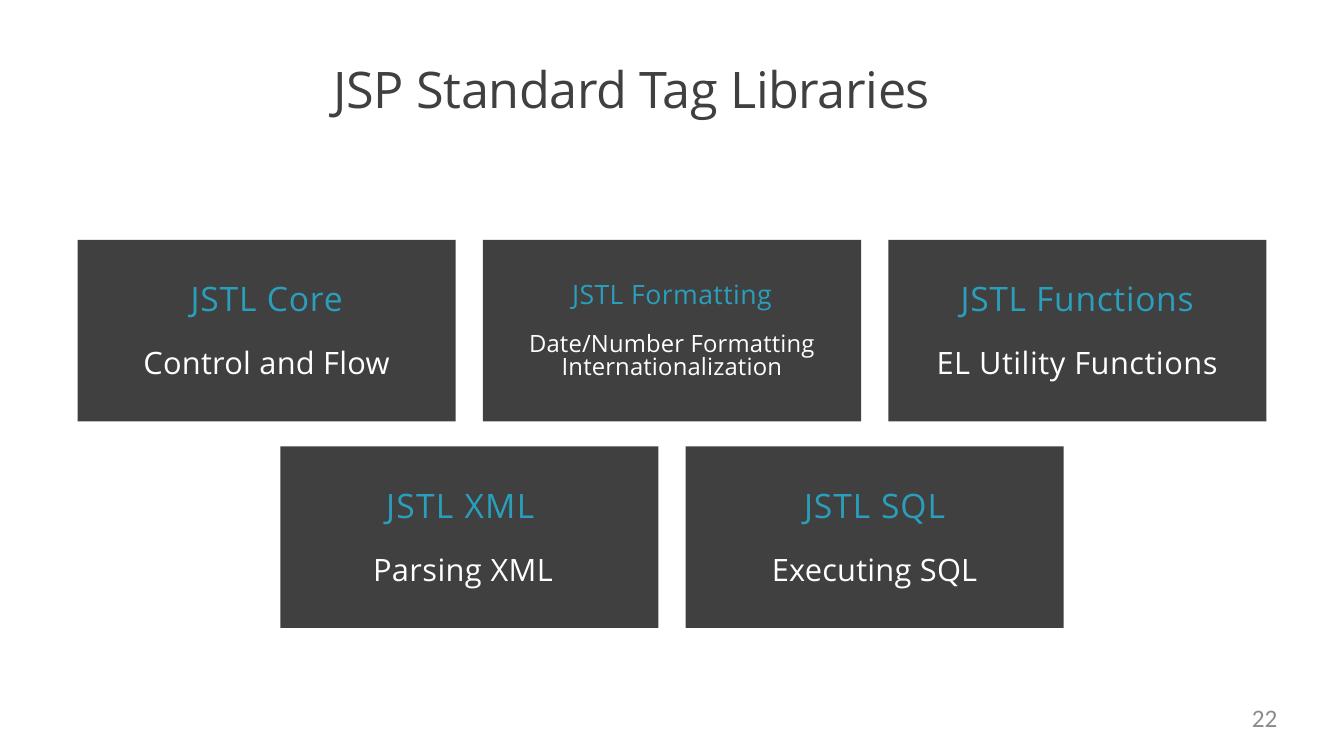
from dataclasses import dataclass

from pptx import Presentation
from pptx.dml.color import RGBColor as RGB
from pptx.enum.shapes import MSO_SHAPE as SHAPE
from pptx.enum.text import MSO_ANCHOR as ANCHOR, MSO_AUTO_SIZE as FIT, PP_ALIGN as ALIGN
from pptx.util import Inches, Pt


@dataclass(frozen=True)
class Theme:
    dark: RGB = RGB(0x40, 0x40, 0x40)
    accent: RGB = RGB(0x2A, 0x9F, 0xBC)
    white: RGB = RGB(0xFF, 0xFF, 0xFF)
    grey: RGB = RGB(0x8C, 0x8C, 0x8C)
    font: str = "Open Sans"
    number_font: str = "Calibri"
    title: int = 36
    number: int = 18
    large: tuple = (24, 22)  # card heading and body
    small: tuple = (19, 17)


class Deck:
    """Style and current slide; cards sit on half-card columns and full rows."""
    left, top = 0.77, 2.38
    column, row = 2.01, 2.05
    card_size = 3.75, 1.8

    def __init__(self, prs, theme):
        self.theme = theme
        self.slide = prs.slides.add_slide(prs.slide_layouts[5])

    def place(self, s, x, y, w, h):
        s.left, s.top, s.width, s.height = map(Inches, (x, y, w, h))

    def frame(self, s, text, inset=0.0):
        tf = s.text_frame
        tf.text = text
        tf.word_wrap, tf.auto_size = True, FIT.NONE
        tf.vertical_anchor = ANCHOR.TOP
        tf.margin_left = tf.margin_right = tf.margin_bottom = 0
        tf.margin_top = Inches(inset)
        return tf

    def style(self, p, size, color, font=None, align=ALIGN.CENTER, tracking=0.0):
        p.alignment = align
        for r in p.runs:
            r.font.size, r.font.name = Pt(size), font or self.theme.font
            r.font.color.rgb = color
            r.font._element.set("spc", str(round(tracking * 100)))

    def title(self, text, box, tracking):
        s = self.slide.shapes.title
        self.place(s, *box)
        p = self.frame(s, text, 0.01).paragraphs[0]
        self.style(p, self.theme.title, self.theme.dark,
                   align=ALIGN.LEFT, tracking=tracking)

    def card(self, col, row, heading, body, tracking, sizes=None, indents=None):
        t = self.theme
        s = self.slide.shapes.add_shape(SHAPE.RECTANGLE, 0, 0, 0, 0)
        self.place(s, self.left + col * self.column,
                   self.top + row * self.row, *self.card_size)
        s.shadow.inherit = False
        s.fill.solid()
        s.fill.fore_color.rgb = t.dark
        s.line.fill.background()
        tf = self.frame(s, f"{heading}\n{body}", 0.38)
        sizes = sizes or t.large
        for i, p in enumerate(tf.paragraphs):
            self.style(p, sizes[i], (t.accent, t.white)[i], tracking=tracking[i],
                       align=ALIGN.LEFT if indents else ALIGN.CENTER)
            if indents:
                p._p.get_or_add_pPr().set("marL", str(Inches(indents[i])))
        last = tf.paragraphs[1]
        last.space_before = Pt(18.3)
        if sizes == t.small:
            last.space_before, last.line_spacing = Pt(16.4), Pt(17)

    def number(self, text, box):
        s = self.slide.shapes.add_textbox(0, 0, 0, 0)
        self.place(s, *box)
        p = self.frame(s, text).paragraphs[0]
        self.style(p, self.theme.number, self.theme.grey,
                   self.theme.number_font, ALIGN.RIGHT)


prs = Presentation()
prs.slide_width, prs.slide_height = Inches(13.33), Inches(7.5)
theme = Theme()
deck = Deck(prs, theme)

# Title
deck.title("JSP Standard Tag Libraries", (3.31, 0.57, 6.62, 0.63), -0.3)

# Upper row of libraries
deck.card(0, 0, "JSTL Core", "Control and Flow", (0.6, 0.2))
deck.card(2, 0, "JSTL Formatting", "Date/Number Formatting\vInternationalization",
          (0.35, 0.1), sizes=theme.small)
deck.card(4, 0, "JSTL Functions", "EL Utility Functions", (0.5, 0.4))

# Lower row, shifted by half a card
deck.card(1, 1, "JSTL XML", "Parsing XML", (0.9, 0.3), indents=(1.05, 0.92))
deck.card(3, 1, "JSTL SQL", "Executing SQL", (0.7, 0.2))

# Page number
deck.number("22", (9.6, 6.97, 3.07, 0.38))

prs.save("out.pptx")
